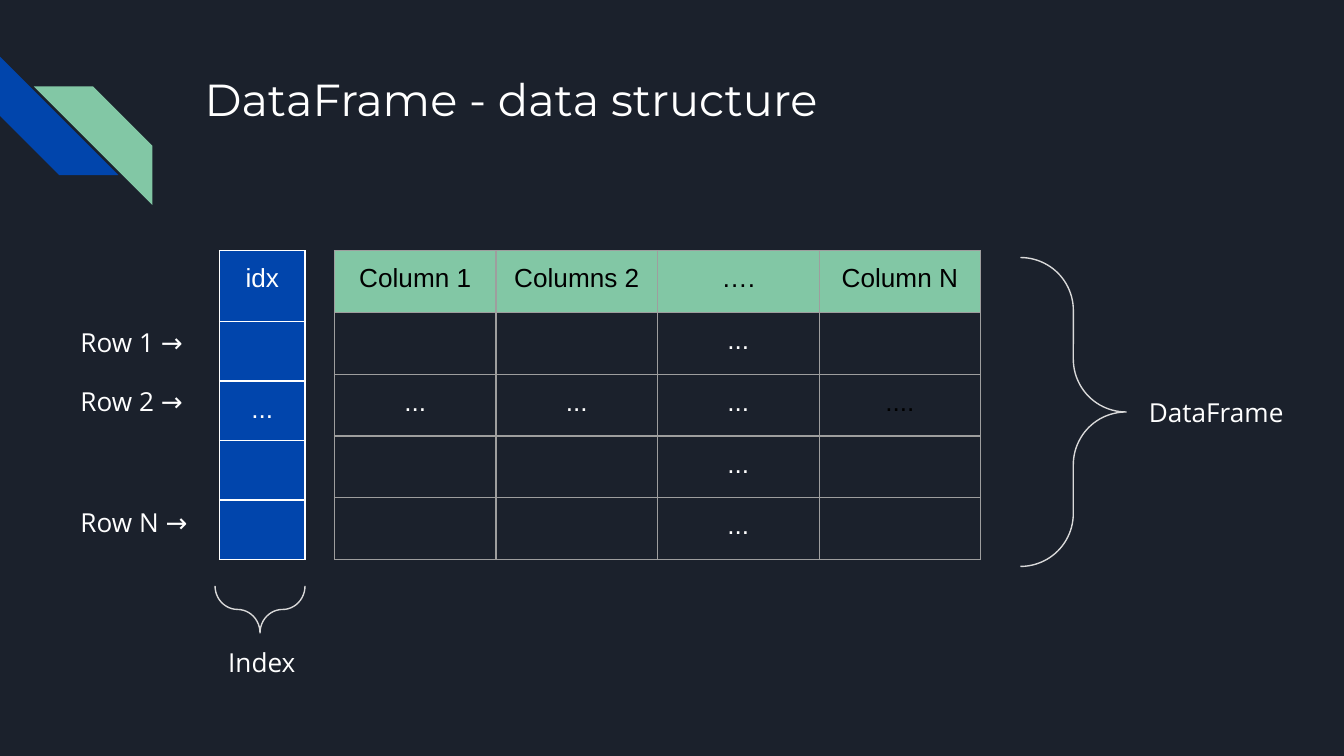
"""Build a slide that explains the structure of a DataFrame."""
from dataclasses import dataclass

from lxml import etree
from pptx import Presentation
from pptx.dml.color import RGBColor
from pptx.enum.shapes import MSO_SHAPE
from pptx.enum.text import PP_ALIGN
from pptx.oxml.ns import qn
from pptx.util import Pt

STRIPE = MSO_SHAPE.DIAGONAL_STRIPE
BRACE = MSO_SHAPE.RIGHT_BRACE
CENTER = PP_ALIGN.CENTER
BLANK_LAYOUT = 6


@dataclass(frozen=True)
class Theme:
    background: str = "1B212C"
    blue: str = "0145AC"
    green: str = "82C7A5"
    light: str = "FFFFFF"
    dark: str = "000000"
    grid: str = "9E9E9E"
    brace: str = "D9D9D9"
    title_font: str = "Montserrat"
    label_font: str = "Open Sans"
    table_font: str = "Arial"
    title_size: float = 24
    body_size: float = 14
    line_width: float = 0.75
    inset: float = 7.2


class SlideBuilder:
    def __init__(self, slide, theme):
        self.slide = slide
        self.theme = theme
        slide.background.fill.solid()
        slide.background.fill.fore_color.rgb = RGBColor.from_string(theme.background)

    def style(self, paragraph, font, size, color):
        for run in paragraph.runs:
            run.font.name = font
            run.font.size = Pt(size)
            run.font.color.rgb = RGBColor.from_string(color)

    def pad(self, holder):
        inset = Pt(self.theme.inset)
        holder.margin_left = holder.margin_right = inset
        holder.margin_top = holder.margin_bottom = inset

    def preset(self, kind, left, top, width, height, rotation=0):
        shape = self.slide.shapes.add_shape(kind, Pt(left), Pt(top), Pt(width), Pt(height))
        shape.shadow.inherit = False
        shape.rotation = rotation
        shape.adjustments[0] = 0.5
        return shape

    def stripe(self, left, top, size, rotation, color):
        stripe = self.preset(STRIPE, left, top, size, size, rotation)
        stripe.fill.solid()
        stripe.fill.fore_color.rgb = RGBColor.from_string(color)
        stripe.line.fill.background()

    def brace(self, left, top, width, height, rotation=0):
        brace = self.preset(BRACE, left, top, width, height, rotation)
        brace.fill.background()
        brace.line.color.rgb = RGBColor.from_string(self.theme.brace)
        brace.line.width = Pt(self.theme.line_width)

    def text(self, left, top, width, height, lines, font, size, gaps=()):
        box = self.slide.shapes.add_textbox(Pt(left), Pt(top), Pt(width), Pt(height))
        frame = box.text_frame
        frame.word_wrap = True
        self.pad(frame)
        frame.text = "\n".join(lines)
        for paragraph in frame.paragraphs:
            self.style(paragraph, font, size, self.theme.light)
        for paragraph, gap in zip(frame.paragraphs[1:], gaps):
            paragraph.space_before = Pt(gap)

    def label(self, left, top, width, height, *lines, gaps=()):
        self.text(left, top, width, height, lines,
                  self.theme.label_font, self.theme.body_size, gaps)

    def borders(self, cell, color):
        properties = cell._tc.get_or_add_tcPr()
        for side in ("a:lnL", "a:lnR", "a:lnT", "a:lnB"):
            line = etree.SubElement(properties, qn(side), w=str(Pt(self.theme.line_width)))
            fill = etree.SubElement(line, qn("a:solidFill"))
            etree.SubElement(fill, qn("a:srgbClr"), val=color)

    def table(self, left, top, column_width, row_heights, rows, border, fills, text_color):
        columns = len(rows[0])
        frame = self.slide.shapes.add_table(
            len(rows), columns, Pt(left), Pt(top),
            Pt(column_width * columns), Pt(sum(row_heights)))
        table = frame.table
        table.first_row = table.horz_banding = False
        for column in table.columns:
            column.width = Pt(column_width)
        for r, (height, values) in enumerate(zip(row_heights, rows)):
            table.rows[r].height = Pt(height)
            for c, value in enumerate(values):
                cell = table.cell(r, c)
                self.borders(cell, border)
                if fills[r]:
                    cell.fill.solid()
                    cell.fill.fore_color.rgb = RGBColor.from_string(fills[r])
                else:
                    cell.fill.background()
                if value:
                    self.pad(cell)
                    cell.text = value
                    paragraph = cell.text_frame.paragraphs[0]
                    paragraph.alignment = CENTER
                    self.style(paragraph, self.theme.table_font,
                               self.theme.body_size, text_color(r, c))


def main():
    deck = Presentation()
    deck.slide_width, deck.slide_height = Pt(720), Pt(405)
    theme = Theme()
    slide = deck.slides.add_slide(deck.slide_layouts[BLANK_LAYOUT])
    builder = SlideBuilder(slide, theme)

    builder.stripe(0, 30.3, 63.5, 270, theme.blue)
    builder.stripe(18.1, 46.3, 63.5, 90, theme.green)
    builder.text(102.5, 31, 554.4, 72, ["DataFrame - data structure"],
                 theme.title_font, theme.title_size)

    table_top, row_height = 134.3, 33.1
    partial_row = ["", "", "...", ""]
    data_rows = [
        ["Column 1", "Columns 2", "….", "Column N"],
        partial_row,
        ["...", "...", "...", "...."],
        partial_row,
        partial_row,
    ]
    dark_cells = {(0, 0), (0, 1), (0, 2), (0, 3), (2, 3)}
    builder.table(179.2, table_top, 86.55, [row_height] * 5, data_rows, theme.grid,
                  [theme.green] + [None] * 4,
                  lambda r, c: theme.dark if (r, c) in dark_cells else theme.light)

    index_rows = [["idx"], [""], ["..."], [""], [""]]
    builder.table(117.6, table_top, 45.8, [37.9] + [31.9] * 4, index_rows, theme.light,
                  [theme.blue] * 5, lambda r, c: theme.light)

    builder.brace(546.7, 138, 56.6, 5 * row_height)
    builder.label(608.4, 205.2, 108, 31.7, "DataFrame")
    builder.label(36, 167.8, 80, 133, "Row 1 →", "Row 2 →", "Row N →", gaps=(14.5, 48))
    builder.brace(126.7, 302.4, 25.2, 48.2, 90)
    builder.label(115.2, 339.1, 108, 31.7, "Index")

    deck.save("out.pptx")


if __name__ == "__main__":
    main()
